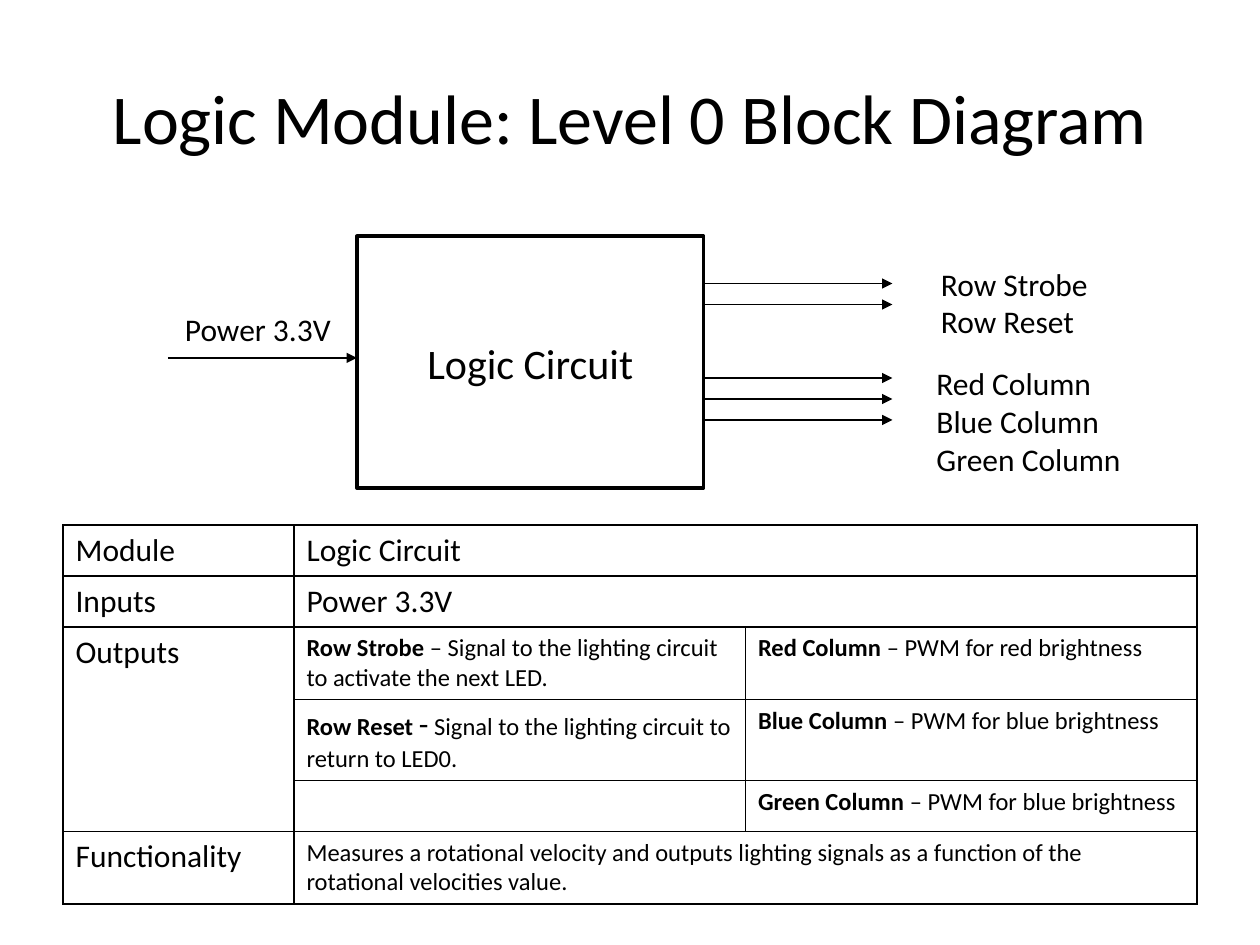
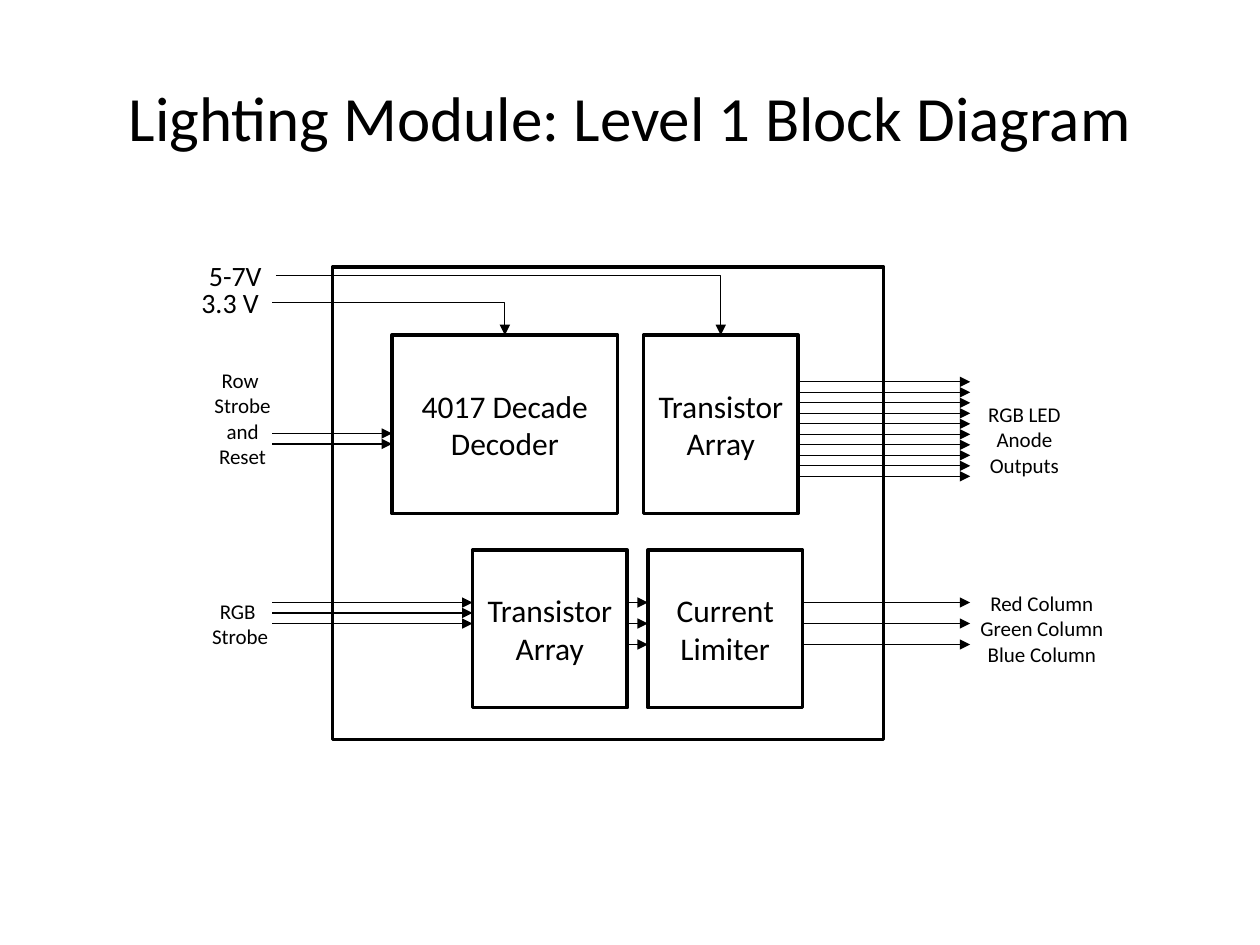
from dataclasses import dataclass

from lxml.etree import SubElement
from pptx import Presentation
from pptx.dml.color import RGBColor
from pptx.enum.shapes import MSO_CONNECTOR as CONN, MSO_SHAPE as SHAPE
from pptx.enum.text import MSO_ANCHOR as ANCHOR, MSO_AUTO_SIZE as FIT, PP_ALIGN as ALIGN
from pptx.oxml.ns import qn
from pptx.util import Pt


@dataclass(frozen=True)
class Theme:
    font: str = "Calibri"
    ink: RGBColor = RGBColor(0, 0, 0)
    paper: RGBColor = RGBColor(255, 255, 255)
    box_text: float = 24
    text: float = 18
    supply: float = 16
    detail: float = 14
    small: float = 12
    box_line: float = 2
    grid_line: float = 1
    arrow_line: float = 0.75


THEME = Theme()


# --- Shared elements ---

def style_font(font, size, bold=False):
    font.name = THEME.font
    font.size = Pt(size)
    font.bold = bold
    font.color.rgb = THEME.ink


def fill_text(tf, text, size, align):
    """Write text; a vertical tab breaks a line inside a paragraph."""
    tf.text = text
    for p in tf.paragraphs:
        p.alignment = align
        style_font(p.font, size)


def add_titled_slide(prs, title, size):
    slide = prs.slides.add_slide(prs.slide_layouts[5])
    sp = slide.shapes.title
    sp.left, sp.top, sp.width, sp.height = Pt(36), Pt(21.6), Pt(648), Pt(90)
    tf = sp.text_frame
    tf.auto_size = FIT.NONE
    tf.vertical_anchor = ANCHOR.MIDDLE
    fill_text(tf, title, size, ALIGN.CENTER)
    return slide


def add_box(slide, x, y, w, h, text="", size=THEME.text):
    sp = slide.shapes.add_shape(SHAPE.RECTANGLE, Pt(x), Pt(y), Pt(w), Pt(h))
    sp.shadow.inherit = False
    sp.fill.solid()
    sp.fill.fore_color.rgb = THEME.paper
    sp.line.color.rgb = THEME.ink
    sp.line.width = Pt(THEME.box_line)
    if text:
        sp.text_frame.vertical_anchor = ANCHOR.MIDDLE
        fill_text(sp.text_frame, text, size, ALIGN.CENTER)
    return sp


def add_label(slide, x, y, w, h, text, size, align=ALIGN.LEFT, wrap=True):
    tf = slide.shapes.add_textbox(Pt(x), Pt(y), Pt(w), Pt(h)).text_frame
    tf.word_wrap = wrap
    tf.auto_size = FIT.SHAPE_TO_FIT_TEXT
    fill_text(tf, text, size, align)


def add_arrow(slide, x1, y1, x2, y2, kind=CONN.STRAIGHT):
    cxn = slide.shapes.add_connector(kind, Pt(x1), Pt(y1), Pt(x2), Pt(y2))
    cxn.line.color.rgb = THEME.ink
    cxn.line.width = Pt(THEME.arrow_line)
    sp_pr = cxn._element.spPr
    SubElement(sp_pr.find(qn("a:ln")), qn("a:tailEnd"), type="triangle")
    SubElement(sp_pr, qn("a:effectLst"))
    return cxn


def add_signals(slide, x1, x2, top, count, gap):
    """Draw parallel arrows at equal gaps."""
    for i in range(count):
        y = top + i * gap
        add_arrow(slide, x1, y, x2, y)


def add_supply(slide, x, y, box):
    """Draw a line that runs right, then down onto the top of a box."""
    cxn = add_arrow(slide, x, y, (box.left + box.width / 2) / Pt(1),
                    box.top / Pt(1), CONN.ELBOW)
    cxn._element.spPr.find(qn("a:prstGeom")).set("prst", "bentConnector2")
    cxn.end_connect(box, 0)


# --- Table ---

def format_cell(cell):
    tc_pr = cell._tc.get_or_add_tcPr()
    for side in ("a:lnL", "a:lnR", "a:lnT", "a:lnB"):
        ln = SubElement(tc_pr, qn(side), w=str(Pt(THEME.grid_line)))
        fill = SubElement(ln, qn("a:solidFill"))
        SubElement(fill, qn("a:srgbClr"), val=str(THEME.ink))
    cell.fill.solid()
    cell.fill.fore_color.rgb = THEME.paper


def write_cell(cell, *runs):
    """Write runs given as (text, size, bold)."""
    p = cell.text_frame.paragraphs[0]
    for text, size, bold in runs:
        r = p.add_run()
        r.text = text
        style_font(r.font, size, bold)


def add_module_table(slide):
    big, small = THEME.text, THEME.detail
    widths = (132, 258, 258)
    heights = (29.2, 29.2, 41.2, 46.3, 29.2, 41.5)
    table = slide.shapes.add_table(
        len(heights), len(widths), Pt(36), Pt(300),
        Pt(sum(widths)), Pt(sum(heights))).table
    table.first_row = table.horz_banding = False
    for column, width in zip(table.columns, widths):
        column.width = Pt(width)
    for row, height in zip(table.rows, heights):
        row.height = Pt(height)
    for cell in table.iter_cells():
        format_cell(cell)
    for row in (0, 1, 5):
        table.cell(row, 1).merge(table.cell(row, 2))
    table.cell(2, 0).merge(table.cell(4, 0))

    contents = {
        (0, 0): [("Module", big, False)],
        (0, 1): [("Logic Circuit", big, False)],
        (1, 0): [("Inputs", big, False)],
        (1, 1): [("Power 3.3V", big, False)],
        (2, 0): [("Outputs", big, False)],
        (2, 1): [("Row Strobe", small, True),
                 (" – Signal to the lighting circuit to activate the next LED.",
                  small, False)],
        (3, 1): [("Row Reset ", small, True), ("-", big, False),
                 (" ", small, True),
                 ("Signal to the lighting circuit to return to LED0.",
                  small, False)],
        (5, 0): [("Functionality", big, False)],
        (5, 1): [("Measures a rotational velocity and outputs lighting signals "
                  "as a function of the rotational velocities value.",
                  small, False)],
    }
    columns = (("Red", "red"), ("Blue", "blue"), ("Green", "blue"))
    for row, (name, brightness) in enumerate(columns, start=2):
        contents[row, 2] = [(f"{name} Column ", small, True),
                            (f"– PWM for {brightness} brightness", small, False)]
    for (row, col), runs in contents.items():
        write_cell(table.cell(row, col), *runs)


# --- Slides ---

def build_logic_slide(prs):
    slide = add_titled_slide(prs, "Logic Module: Level 0 Block Diagram", 40)
    add_module_table(slide)
    add_box(slide, 204, 135, 198, 144, "Logic Circuit", THEME.box_text)

    # Input
    add_signals(slide, 96, 204, 204.5, 1, 0)
    add_label(slide, 98.6, 173.5, 98.6, 28.8, "Power 3.3V", THEME.text, wrap=False)

    # Outputs
    add_signals(slide, 402, 510, 162, 2, 12)
    add_signals(slide, 402, 510, 216, 3, 12)
    add_label(slide, 530.6, 147.6, 108, 51, "Row Strobe\nRow Reset", THEME.text)
    add_label(slide, 528, 204.5, 126, 72.7,
              "Red Column\vBlue Column\nGreen Column", THEME.text)


def build_lighting_slide(prs):
    slide = add_titled_slide(prs, "Lighting Module: Level 1 Block Diagram", 36)

    # Module frame and its blocks
    add_box(slide, 190, 152.6, 315, 270)
    decoder = add_box(slide, 224, 191.5, 129, 102, "4017 Decade Decoder")
    array = add_box(slide, 367.7, 191.5, 88.4, 102, "Transistor Array")
    add_box(slide, 270, 314.4, 88.4, 90, "Transistor Array")
    add_box(slide, 370.2, 314.4, 88.4, 90, "Current\vLimiter")

    # Supplies
    add_supply(slide, 157.7, 157.5, array)
    add_supply(slide, 155.5, 173, decoder)
    add_label(slide, 112.3, 144, 45.4, 26.6, "5-7V", THEME.supply, wrap=False)
    add_label(slide, 108, 159.8, 47.5, 26.6, "3.3 V", THEME.supply, wrap=False)

    # Signals
    add_signals(slide, 155.5, 224, 247.7, 2, 6)
    add_signals(slide, 155.5, 270, 344.3, 3, 6)
    add_signals(slide, 358, 370.2, 344.3, 3, 12)
    add_signals(slide, 456, 554.4, 218.2, 10, 6)
    add_signals(slide, 458, 554.4, 344.3, 3, 12)

    # Signal names
    for x, y, w, h, text, wrap in (
        (115.2, 206.6, 46.8, 65.5, "Row \vStrobe\vand\vReset", False),
        (113.8, 338.4, 46.8, 36, "RGB \vStrobe", False),
        (557.3, 226, 56.2, 51, "RGB LED\vAnode\vOutputs", True),
        (548.6, 334, 93.6, 51, "Red Column\vGreen Column\nBlue Column", True),
    ):
        add_label(slide, x, y, w, h, text, THEME.small, ALIGN.CENTER, wrap)


def main():
    prs = Presentation()
    prs.slide_width, prs.slide_height = Pt(720), Pt(540)
    build_logic_slide(prs)
    build_lighting_slide(prs)
    prs.save("out.pptx")


if __name__ == "__main__":
    main()
